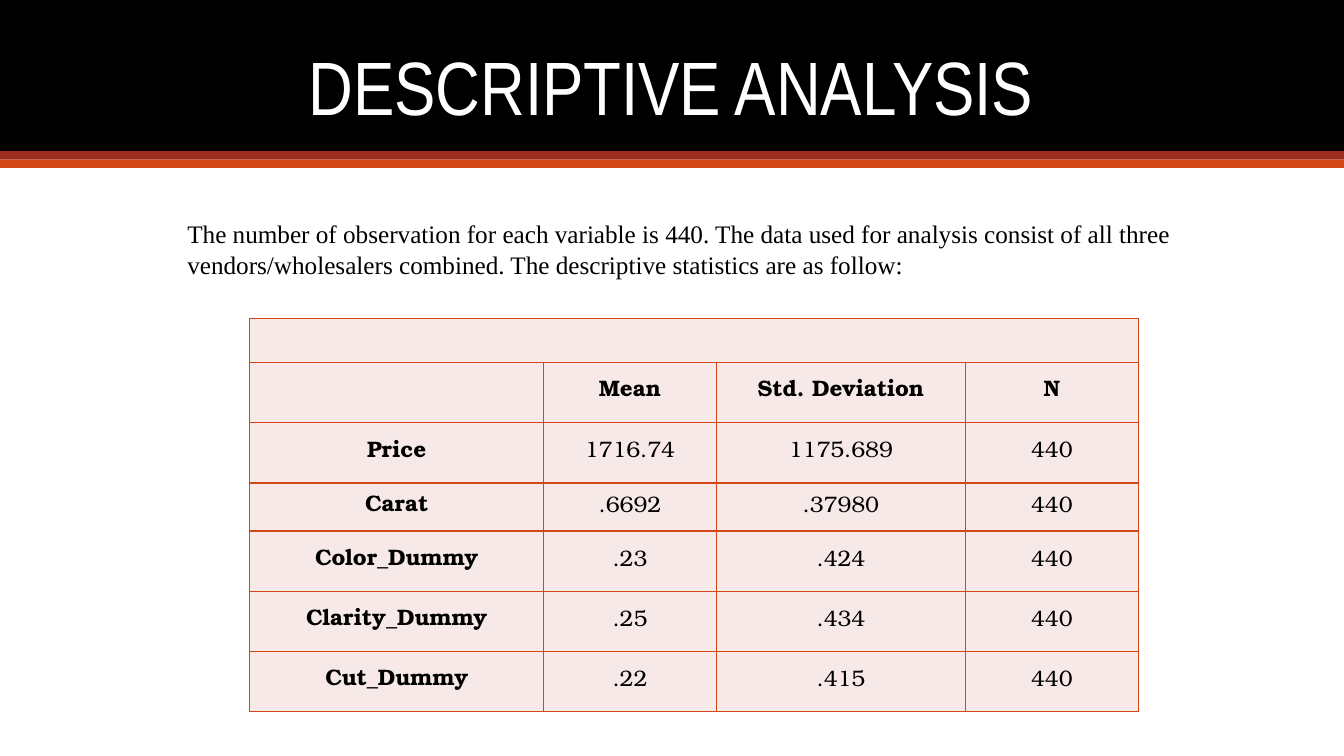
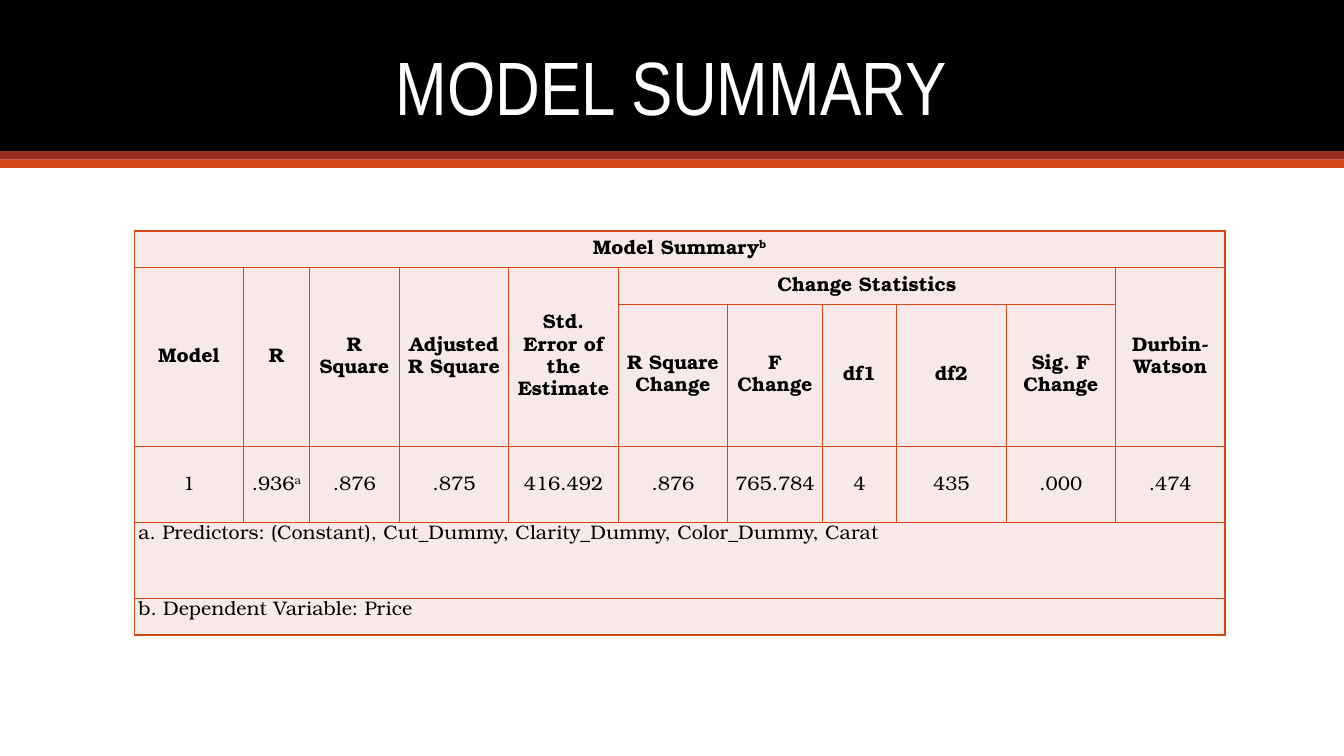
import pptx
import pptx.dml.color
import pptx.enum.shapes
import pptx.enum.text
import pptx.oxml
import pptx.oxml.ns
import pptx.util

Pt = pptx.util.Pt
RGBColor = pptx.dml.color.RGBColor
Align = pptx.enum.text.PP_ALIGN
Anchor = pptx.enum.text.MSO_ANCHOR

BLACK = RGBColor(0x00, 0x00, 0x00)
WHITE = RGBColor(0xFF, 0xFF, 0xFF)
DARK_RED = RGBColor(0x9B, 0x2D, 0x1F)
ORANGE = RGBColor(0xD3, 0x48, 0x17)
PINK = RGBColor(0xF7, 0xE9, 0xE8)

TITLE_FONT = "Arial Narrow"
BODY_FONT = "Times New Roman"
TABLE_FONT = "TeX Gyre Bonum"

SLIDE_WIDTH, SLIDE_HEIGHT = 960, 540
TITLE_BOX = (83.5, 1.4, 792, 126.7)
BANDS = [(0, 108, BLACK), (108, 6, DARK_RED), (114, 6, ORANGE)]

INTRO_BOX = (126.7, 152.6, 738, 51)
INTRO = (
    "The number of observation for each variable is 440. The data used for analysis "
    "consist of all three vendors/wholesalers combined. The descriptive statistics are as follow:"
)

DESCRIPTIVES = {
    "origin": (178.4, 227.5),
    "columns": [210, 123.2, 178.2, 123.2],
    "rows": [31.5, 43, 43, 34.3, 43, 43, 43],
    "size": 16,
    "side_margin": 5,
    "header_rows": 2,
    "header_columns": 1,
    "note_rows": 0,
    "spans": [(0, 0, 1, 4)],
    "cells": [
        [None, None, None, None],
        [None, "Mean", "Std. Deviation", "N"],
        ["Price", "1716.74", "1175.689", "440"],
        ["Carat", ".6692", ".37980", "440"],
        ["Color_Dummy", ".23", ".424", "440"],
        ["Clarity_Dummy", ".25", ".434", "440"],
        ["Cut_Dummy", ".22", ".415", "440"],
    ],
}

MODEL = {
    "origin": (95.8, 165),
    "columns": [78.2, 47, 64.3, 78.2, 78.2, 78.2, 67.5, 53.2, 78.2, 78.2, 78.2],
    "rows": [26.2, 26.2, 101.5, 54.3, 54.3, 26.2],
    "size": 14,
    "side_margin": 0,
    "header_rows": 3,
    "header_columns": 0,
    "note_rows": 2,
    "spans": [(row, 0, 1, 11) for row in (0, 4, 5)]
    + [(1, column, 2, 1) for column in (0, 1, 2, 3, 4, 10)]
    + [(1, 5, 1, 5)],
    "cells": [
        [("Model Summary", "b")],
        ["Model", "R", "R Square", "Adjusted R Square", "Std. Error of the Estimate",
         "Change Statistics", None, None, None, None, "Durbin-Watson"],
        [None, None, None, None, None,
         "R Square Change", "F Change", "df1", "df2", "Sig. F Change", None],
        ["1", (".936", "a"), ".876", ".875", "416.492", ".876", "765.784", "4", "435",
         ".000", ".474"],
        ["a. Predictors: (Constant), Cut_Dummy, Clarity_Dummy, Color_Dummy, Carat"],
        ["b. Dependent Variable: Price"],
    ],
}

SLIDES = [
    ("DESCRIPTIVE ANALYSIS", INTRO, DESCRIPTIVES),
    ("MODEL SUMMARY", None, MODEL),
]


def points(*lengths):
    return [Pt(length) for length in lengths]


def add_run(paragraph, text, font_name, size, color, bold=False):
    run = paragraph.add_run()
    run.text = text
    run.font.name = font_name
    run.font.size = Pt(size)
    run.font.color.rgb = color
    run.font.bold = bold
    return run


def set_up_layout(layout, slide):
    title = layout.placeholders[0]
    title.left, title.top, title.width, title.height = points(*TITLE_BOX)
    for position, (top, height, color) in enumerate(BANDS):
        band = slide.shapes.add_shape(
            pptx.enum.shapes.MSO_SHAPE.RECTANGLE, *points(0, top, SLIDE_WIDTH, height)
        )
        band.shadow.inherit = False
        band.fill.solid()
        band.fill.fore_color.rgb = color
        band.line.fill.background()
        layout.shapes._spTree.insert(2 + position, band._element)


def add_title(slide, text):
    frame = slide.shapes.title.text_frame
    frame.word_wrap = True
    frame.auto_size = pptx.enum.text.MSO_AUTO_SIZE.NONE
    frame.vertical_anchor = Anchor.MIDDLE
    paragraph = frame.paragraphs[0]
    paragraph.alignment = Align.CENTER
    paragraph.line_spacing = 0.9
    add_run(paragraph, text, TITLE_FONT, 54, WHITE)


def add_intro(slide, text):
    frame = slide.shapes.add_textbox(*points(*INTRO_BOX)).text_frame
    frame.word_wrap = True
    add_run(frame.paragraphs[0], text, BODY_FONT, 18, BLACK)


def set_borders(cell):
    properties = cell._tc.get_or_add_tcPr()
    for position, side in enumerate(("lnL", "lnR", "lnT", "lnB")):
        border = pptx.oxml.parse_xml(
            f'<a:{side} {pptx.oxml.ns.nsdecls("a")} w="{Pt(1)}">'
            f'<a:solidFill><a:srgbClr val="{ORANGE}"/></a:solidFill></a:{side}>'
        )
        properties.insert(position, border)


def fill_cell(cell, content, size, bold, note):
    cell.vertical_anchor = Anchor.TOP if note else Anchor.MIDDLE
    paragraph = cell.text_frame.paragraphs[0]
    paragraph.alignment = Align.LEFT if note else Align.CENTER
    paragraph.line_spacing = Pt(16)
    indents = paragraph._p.get_or_add_pPr()
    for side in ("marL", "marR"):
        indents.set(side, str(Pt(3)))
    text, superscript = content if isinstance(content, tuple) else (content, None)
    add_run(paragraph, text, TABLE_FONT, size, BLACK, bold)
    if superscript:
        mark = add_run(paragraph, superscript, TABLE_FONT, size, BLACK, bold)
        mark.font._element.set("baseline", "30000")


def add_statistics(slide, statistics):
    columns, rows = statistics["columns"], statistics["rows"]
    frame = slide.shapes.add_table(
        len(rows), len(columns), *points(*statistics["origin"], sum(columns), sum(rows))
    )
    table = frame.table
    table.first_row = False
    table.horz_banding = False
    for column, width in zip(table.columns, columns):
        column.width = Pt(width)
    for row, height in zip(table.rows, rows):
        row.height = Pt(height)
    for top, left, height, width in statistics["spans"]:
        table.cell(top, left).merge(table.cell(top + height - 1, left + width - 1))
    first_note = len(rows) - statistics["note_rows"]
    for r, contents in enumerate(statistics["cells"]):
        for c in range(len(columns)):
            cell = table.cell(r, c)
            cell.margin_left = cell.margin_right = Pt(statistics["side_margin"])
            cell.margin_top = cell.margin_bottom = Pt(0)
            cell.fill.solid()
            cell.fill.fore_color.rgb = PINK
            set_borders(cell)
            content = contents[c] if c < len(contents) else None
            if content:
                bold = r < statistics["header_rows"] or c < statistics["header_columns"]
                fill_cell(cell, content, statistics["size"], bold, r >= first_note)


def main():
    deck = pptx.Presentation()
    deck.slide_width, deck.slide_height = points(SLIDE_WIDTH, SLIDE_HEIGHT)
    layout = deck.slide_layouts[5]
    for number, (title, intro, statistics) in enumerate(SLIDES):
        slide = deck.slides.add_slide(layout)
        if number == 0:
            set_up_layout(layout, slide)
        add_title(slide, title)
        add_statistics(slide, statistics)
        if intro:
            add_intro(slide, intro)
    deck.save("out.pptx")


if __name__ == "__main__":
    main()
